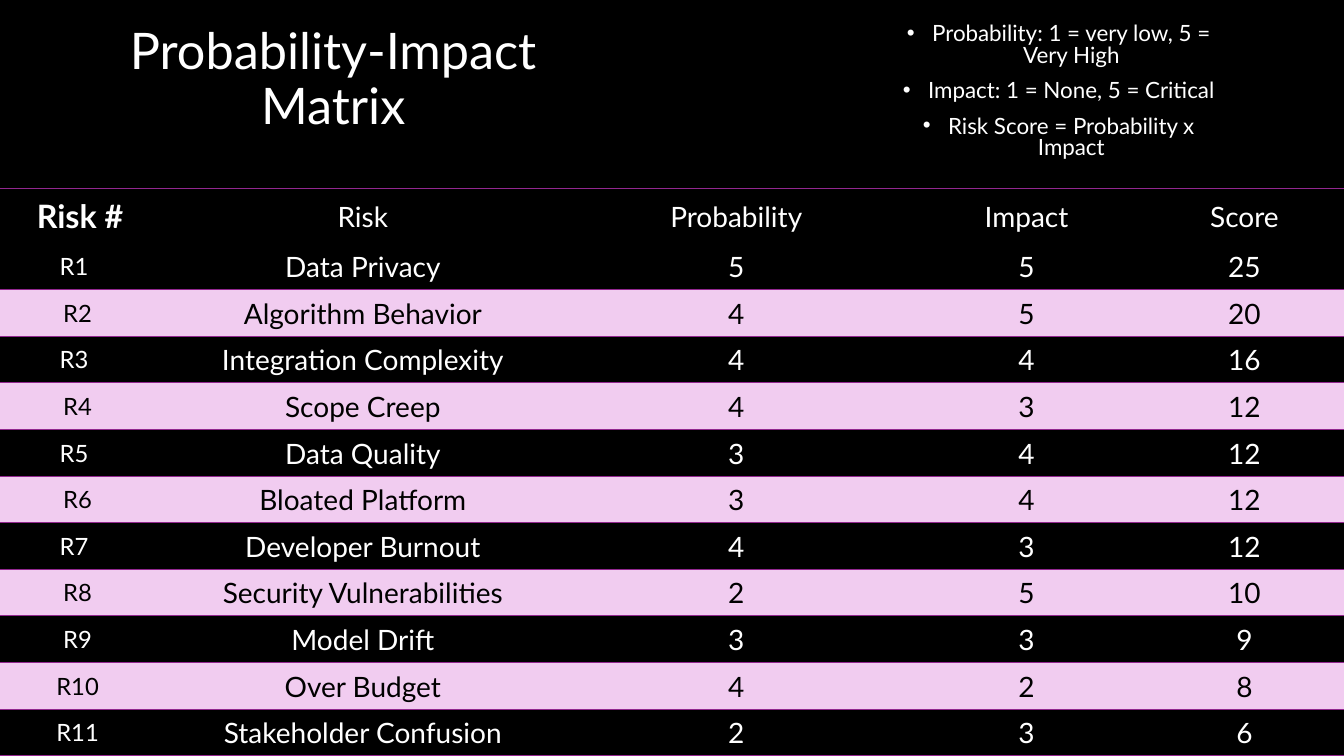
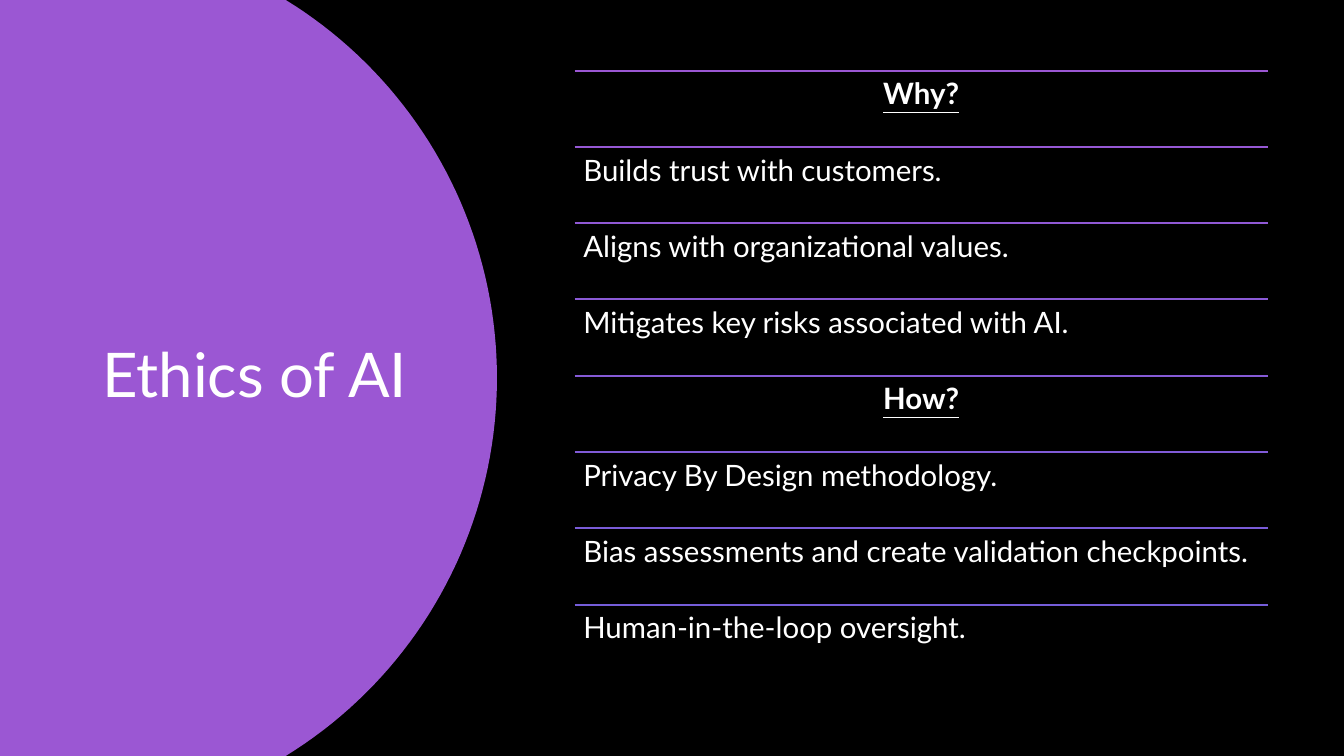
import math
from lxml import etree
from pptx import Presentation
from pptx.dml.color import RGBColor
from pptx.enum import shapes, text
from pptx.oxml import ns
from pptx.util import Pt

COLORS = {"black": "000000", "white": "FFFFFF", "band": "F1CCF0", "rule": "92278F",
          "purple": "9B57D3", "violet": "755DD9"}
FONT = "Lato"
CENTER, LEFT = text.PP_ALIGN.CENTER, text.PP_ALIGN.LEFT
MIDDLE = text.MSO_ANCHOR.MIDDLE

prs = Presentation()
prs.slide_width, prs.slide_height = Pt(960), Pt(540)
bg = prs.slide_master.background.fill
bg.solid()
bg.fore_color.rgb = RGBColor.from_string(COLORS["black"])


def style(p, size, align=LEFT, color="white", spacing=None):
    p.alignment = align
    if spacing:
        p.line_spacing = spacing
    p.font.name, p.font.size = FONT, Pt(size)
    p.font.color.rgb = RGBColor.from_string(COLORS[color])


def fill_placeholder(sp, box, lines, size, align, spacing):
    sp.left, sp.top, sp.width, sp.height = (Pt(v) for v in box)
    tf = sp.text_frame
    tf.text = "\n".join(lines)
    tf.word_wrap, tf.vertical_anchor = True, MIDDLE
    tf.auto_size = text.MSO_AUTO_SIZE.NONE
    for p in tf.paragraphs:
        style(p, size, align, spacing=spacing)


# Slide 1: risk matrix
s = prs.slides.add_slide(prs.slide_layouts[1])
fill_placeholder(s.shapes.title, (79, 13.5, 318, 88), ["Probability-Impact Matrix"],
                 36, CENTER, 0.9)

# Scoring legend
legend = s.placeholders[1]
fill_placeholder(legend, (632, 13, 248.5, 106),
                 ["Probability: 1 = very low, 5 = Very High",
                  "Impact: 1 = None, 5 = Critical",
                  "Risk Score = Probability x Impact"], 16, CENTER, 0.8)
for i, p in enumerate(legend.text_frame.paragraphs):
    p.space_before = Pt(10 if i else 0)
    pPr = p._p.get_or_add_pPr()
    pPr.set("marL", str(Pt(18)))
    pPr.set("indent", str(-Pt(18)))

# Risk table
risks = [("Data Privacy", 5, 5), ("Algorithm Behavior", 4, 5),
         ("Integration Complexity", 4, 4), ("Scope Creep", 4, 3),
         ("Data Quality", 3, 4), ("Bloated Platform", 3, 4),
         ("Developer Burnout", 4, 3), ("Security Vulnerabilities", 2, 5),
         ("Model Drift", 3, 3), ("Over Budget", 4, 2), ("Stakeholder Confusion", 2, 3)]
rows = [("Risk #", "Risk", "Probability", "Impact", "Score")]
rows += [(f"R{n}", name, prob, impact, prob * impact)
         for n, (name, prob, impact) in enumerate(risks, 1)]
widths = [115.2, 288, 245.5, 169.2, 142.1]
head_h, row_h = 39, 33.3

frame = s.shapes.add_table(len(rows), len(widths), Pt(0), Pt(134.7), Pt(960),
                           Pt(head_h + row_h * len(risks)))
table = frame.table
table.first_row = table.horz_banding = False
# "No Style, No Grid"
table._tbl.tblPr.find(ns.qn("a:tableStyleId")).text = "{2D5ABB26-0587-4C30-8999-92F81FD0307C}"
for col, width in zip(table.columns, widths):
    col.width = Pt(width)

for i, row in enumerate(rows):
    table.rows[i].height = Pt(row_h if i else head_h)
    banded = i > 0 and i % 2 == 0
    borders = {}
    if i == 0:
        borders["lnT"] = 1.5
    elif banded or i >= 9:
        borders["lnT"] = 0.75
    if i == len(risks):
        borders["lnB"] = 0.75
    for j, value in enumerate(row):
        cell = table.cell(i, j)
        cell.text = str(value)
        cell.vertical_anchor = MIDDLE
        if j == 0:
            margins = (5 if banded or i >= 9 else 0, 4.3, 9.4 if i else 0.7, 4.3)
            size = 17 if i else 23
        else:
            margins, size = (0.7, 0.7, 0.7, 0), 20
        (cell.margin_left, cell.margin_top,
         cell.margin_right, cell.margin_bottom) = (Pt(m) for m in margins)
        p = cell.text_frame.paragraphs[0]
        style(p, size, CENTER, "black" if banded else "white")
        p.font.bold = i == 0 and j == 0
        for side, width in borders.items():
            ln = etree.SubElement(cell._tc.get_or_add_tcPr(), ns.qn(f"a:{side}"),
                                  w=str(Pt(width)))
            solid = etree.SubElement(ln, ns.qn("a:solidFill"))
            etree.SubElement(solid, ns.qn("a:srgbClr"), val=COLORS["rule"])
        if banded:
            cell.fill.solid()
            cell.fill.fore_color.rgb = RGBColor.from_string(COLORS["band"])
        else:
            cell.fill.background()

# Slide 2: ethics
s = prs.slides.add_slide(prs.slide_layouts[5])

# Circle cut off by the slide edges, kept behind the title
cx, cy, radius, steps = 38, 270, 317, 80
half = math.asin(cy / radius)
angles = [half * (2 * k / steps - 1) for k in range(steps + 1)]
arc = [(cx + radius * math.cos(a), cy + radius * math.sin(a)) for a in angles]
outline = s.shapes.build_freeform(0, 0, scale=Pt(1) / 100)
outline.add_line_segments([(x * 100, y * 100) for x, y in arc + [(0, 540)]], close=True)
sp = outline.convert_to_shape()
sp.shadow.inherit = False
sp.fill.solid()
sp.fill.fore_color.rgb = RGBColor.from_string(COLORS["purple"])
sp.line.fill.background()
s.shapes._spTree.insert(2, sp._element)

fill_placeholder(s.shapes.title, (66, 50.5, 232.5, 438.5), ["Ethics of AI"], 44, LEFT, 0.9)

# Ruled list, its lines shading from purple to violet
points = ["Why?", "Builds trust with customers.", "Aligns with organizational values.",
          "Mitigates key risks associated with AI.", "How?",
          "Privacy By Design methodology.",
          "Bias assessments and create validation checkpoints.",
          "Human-in-the-loop oversight."]
left, top, width, pitch = 410.4, 50.4, 495.2, 54.5
start, end = (RGBColor.from_string(COLORS[c]) for c in ("purple", "violet"))
for i, point in enumerate(points):
    y = top + i * pitch
    rule = s.shapes.add_connector(shapes.MSO_CONNECTOR.STRAIGHT,
                                  Pt(left), Pt(y), Pt(left + width), Pt(y))
    share = i / (len(points) - 1)
    rule.line.color.rgb = RGBColor(*(round(a + (b - a) * share) for a, b in zip(start, end)))
    rule.line.width = Pt(1.5)
    etree.SubElement(rule._element.spPr, ns.qn("a:effectLst"))

    tf = s.shapes.add_textbox(Pt(left), Pt(y), Pt(width), Pt(pitch)).text_frame
    tf.word_wrap = True
    tf.margin_left = tf.margin_top = tf.margin_right = tf.margin_bottom = Pt(6.3)
    p = tf.paragraphs[0]
    p.text = point
    heading = point.endswith("?")
    style(p, 21, CENTER if heading else LEFT, spacing=0.9)
    p.font.bold = p.font.underline = heading

prs.save("out.pptx")
